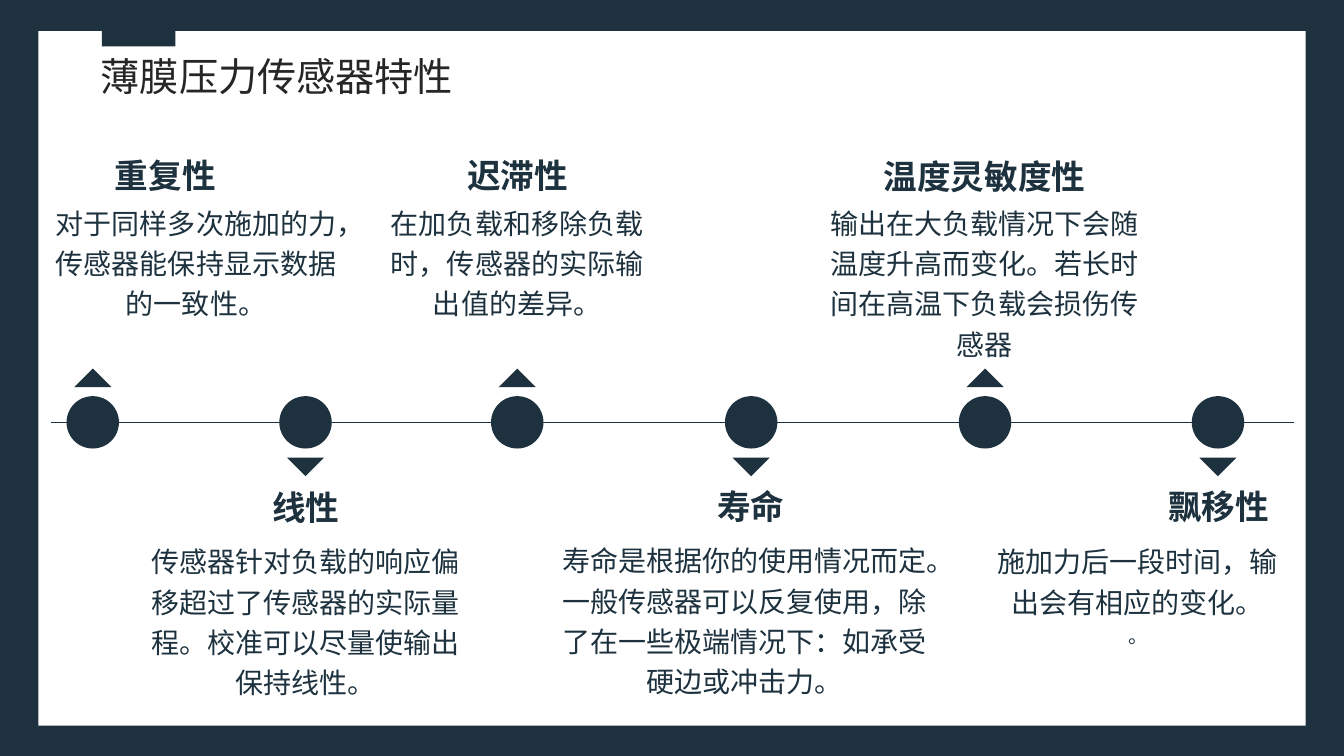
from dataclasses import dataclass

from lxml.etree import SubElement
from pptx import Presentation
from pptx.dml.color import RGBColor
from pptx.enum.shapes import MSO_CONNECTOR, MSO_SHAPE
from pptx.enum.text import MSO_AUTO_SIZE, PP_ALIGN
from pptx.oxml.ns import qn
from pptx.shapes.autoshape import Shape
from pptx.slide import Slide
from pptx.text.text import TextFrame
from pptx.util import Inches, Pt

NAVY = RGBColor(0x1D, 0x32, 0x3E)
WHITE = RGBColor(0xFF, 0xFF, 0xFF)
CHARCOAL = RGBColor(0x26, 0x26, 0x26)
FONT = "Noto Sans CJK SC"

AXIS_Y = 4.19
DOT_SIZE = 0.52
ARROW_SIZE = 0.26
ARROW_OFFSET = 0.35
HEADING_HEIGHT = 0.5


@dataclass(frozen=True)
class Box:
    left: float
    top: float
    width: float
    height: float


@dataclass(frozen=True)
class Line:
    text: str
    size: float = 20


@dataclass(frozen=True)
class Milestone:
    center_x: float
    above: bool
    heading: str
    heading_left: float
    heading_top: float
    body: Box
    lines: tuple[Line, ...]
    heading_width: float = 2.31
    body_grows: bool = True


MILESTONES = (
    Milestone(0.92, True, "重复性", 0.51, 1.49, Box(0.41, 1.93, 3.07, 1.31),
              (Line("对于同样多次施加的力，传感器能保持显示数据的一致性。"),),
              heading_width=2.26),
    Milestone(3.03, False, "线性", 1.88, 4.78, Box(1.37, 5.29, 3.32, 1.72),
              (Line("传感器针对负载的响应偏移超过了传感器的实际量程。"
                    "校准可以尽量使输出保持线性。"),)),
    Milestone(5.13, True, "迟滞性", 3.98, 1.49, Box(3.68, 1.93, 2.9, 1.31),
              (Line("在加负载和移除负载时，传感器的实际输出值的差异。"),)),
    Milestone(7.45, False, "寿命", 6.29, 4.77, Box(5.4, 5.28, 3.97, 1.72),
              (Line("寿命是根据你的使用情况而定。一般传感器可以反复使用，"
                    "除了在一些极端情况下：如承受硬边或冲击力。"),)),
    Milestone(9.77, True, "温度灵敏度性", 8.61, 1.5, Box(8.06, 1.93, 3.41, 1.72),
              (Line("输出在大负载情况下会随温度升高而变化。"
                    "若长时间在高温下负载会损伤传感器"),)),
    Milestone(12.08, False, "飘移性", 10.93, 4.77, Box(9.74, 5.29, 3.09, 2.52),
              (Line("施加力后一段时间，输出会有相应的变化。"), Line("。", 14)),
              body_grows=False),
)


def add_filled(slide: Slide, kind: MSO_SHAPE, box: Box, color: RGBColor) -> Shape:
    shape = slide.shapes.add_shape(kind, Inches(box.left), Inches(box.top),
                                   Inches(box.width), Inches(box.height))
    shape.shadow.inherit = False
    shape.fill.solid()
    shape.fill.fore_color.rgb = color
    shape.line.fill.background()
    return shape


def add_text(slide: Slide, box: Box, lines: tuple[Line, ...], color: RGBColor,
             bold: bool = False, align: PP_ALIGN = PP_ALIGN.CENTER,
             spacing: float = 1.0, grows: bool = True) -> TextFrame:
    text_box = slide.shapes.add_textbox(Inches(box.left), Inches(box.top),
                                        Inches(box.width), Inches(box.height))
    frame = text_box.text_frame
    frame.word_wrap = True
    frame.auto_size = MSO_AUTO_SIZE.SHAPE_TO_FIT_TEXT if grows else MSO_AUTO_SIZE.NONE
    for index, line in enumerate(lines):
        paragraph = frame.add_paragraph() if index else frame.paragraphs[0]
        paragraph.alignment = align
        paragraph.line_spacing = spacing
        run = paragraph.add_run()
        run.text = line.text
        run.font.size = Pt(line.size)
        run.font.bold = bold
        run.font.color.rgb = color
        run.font.name = FONT
        # East Asian typeface for the Chinese characters
        SubElement(run.font._element, qn("a:ea"), typeface=FONT)
    return frame


def add_axis(slide: Slide) -> None:
    axis = slide.shapes.add_connector(MSO_CONNECTOR.STRAIGHT, Inches(0.51), Inches(AXIS_Y),
                                      Inches(12.83), Inches(AXIS_Y))
    axis.line.color.rgb = NAVY
    axis.line.width = Pt(0.5)
    SubElement(axis._element.spPr, qn("a:effectLst"))


def centered_square(center_x: float, center_y: float, size: float) -> Box:
    return Box(center_x - size / 2, center_y - size / 2, size, size)


def add_milestone(slide: Slide, milestone: Milestone) -> None:
    # Dot on the axis
    dot = centered_square(milestone.center_x, AXIS_Y, DOT_SIZE)
    add_filled(slide, MSO_SHAPE.OVAL, dot, NAVY)

    # Right triangle turned so that its corner points at the text
    arrow_y = AXIS_Y + (-ARROW_OFFSET if milestone.above else ARROW_OFFSET)
    arrow_box = centered_square(milestone.center_x, arrow_y, ARROW_SIZE)
    arrow = add_filled(slide, MSO_SHAPE.RIGHT_TRIANGLE, arrow_box, NAVY)
    arrow.rotation = 135 if milestone.above else 315

    # Description and heading
    add_text(slide, milestone.body, milestone.lines, NAVY, spacing=1.2,
             grows=milestone.body_grows)
    heading_box = Box(milestone.heading_left, milestone.heading_top,
                      milestone.heading_width, HEADING_HEIGHT)
    add_text(slide, heading_box, (Line(milestone.heading, 24),), NAVY, bold=True)


def main() -> None:
    presentation = Presentation()
    presentation.slide_width = Inches(13.33)
    presentation.slide_height = Inches(7.5)
    slide = presentation.slides.add_slide(presentation.slide_layouts[6])

    # Frame: navy background, white panel and top tab
    slide.background.fill.solid()
    slide.background.fill.fore_color.rgb = NAVY
    add_filled(slide, MSO_SHAPE.RECTANGLE, Box(0.38, 0.31, 12.57, 6.89), WHITE)
    add_filled(slide, MSO_SHAPE.RECTANGLE, Box(1.01, 0.3, 0.73, 0.16), NAVY)

    # Title
    title = add_text(slide, Box(1, 0.47, 4.14, 1.23), (Line("薄膜压力传感器特性", 28),),
                     CHARCOAL, align=PP_ALIGN.LEFT, grows=False)
    title.margin_left = 0

    # Timeline
    add_axis(slide)
    for milestone in MILESTONES:
        add_milestone(slide, milestone)

    presentation.save("out.pptx")


if __name__ == "__main__":
    main()
